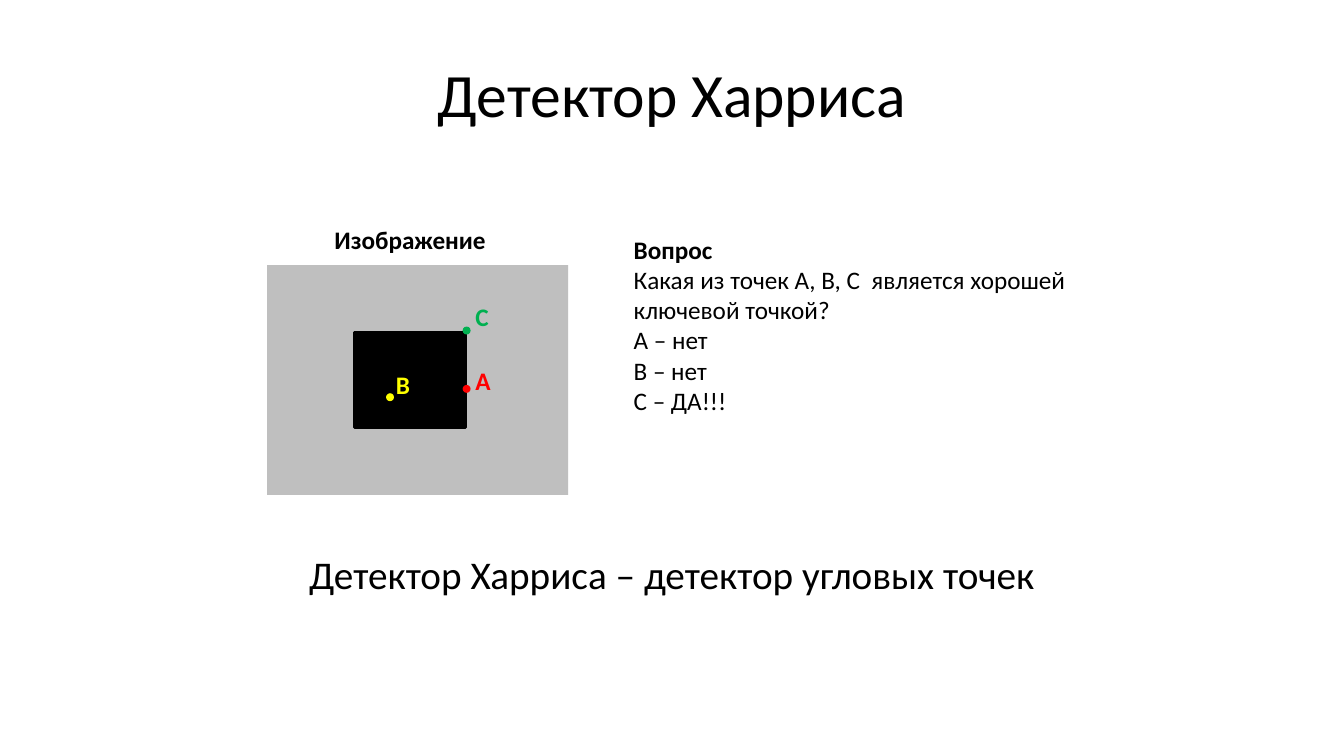
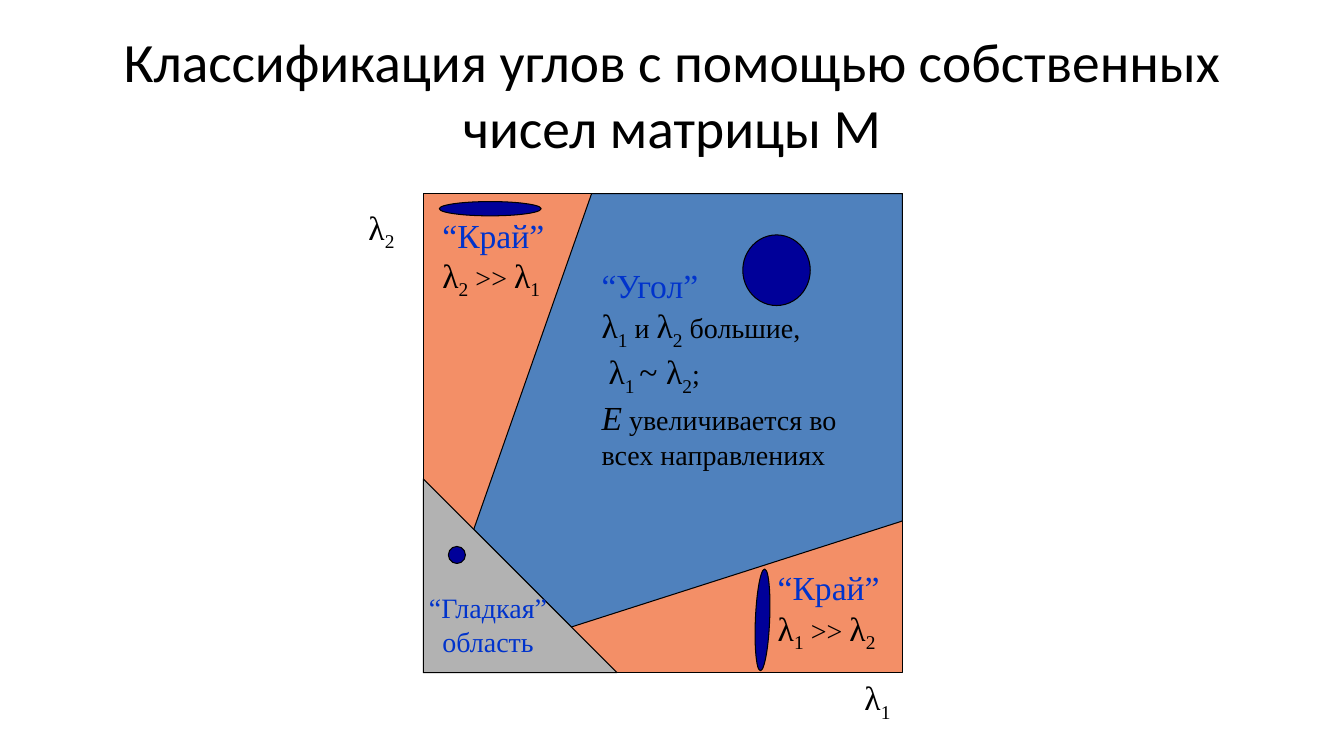
from dataclasses import dataclass
from typing import NamedTuple, Optional, Sequence

from pptx import Presentation
from pptx.dml.color import RGBColor
from pptx.enum.shapes import MSO_SHAPE as Preset
from pptx.enum.text import MSO_ANCHOR as Anchor, MSO_AUTO_SIZE as AutoSize, PP_ALIGN as Align
from pptx.shapes.autoshape import Shape
from pptx.slide import Slide
from pptx.util import Cm, Pt


@dataclass(frozen=True)
class Theme:
    sans: str = "Calibri"
    serif: str = "Times New Roman"
    ink: str = "000000"
    backdrop: str = "BFBFBF"
    red: str = "FF0000"
    yellow: str = "FFFF00"
    green: str = "00B050"
    edge: str = "F38F67"
    corner: str = "4F81BD"
    flat: str = "B2B2B2"
    ellipse: str = "000099"
    region_name: str = "0033CC"
    title: float = 44
    long_title: float = 39.6
    conclusion: float = 28
    body: float = 18
    symbol: float = 24
    remark: float = 20
    outline: float = 0.75


THEME = Theme()


class Box(NamedTuple):
    """Left, top, width and height in centimetres."""
    x: float
    y: float
    w: float
    h: float


@dataclass(frozen=True)
class Piece:
    """A stretch of text; unset fields follow the text box."""
    text: str
    size: Optional[float] = None
    color: Optional[str] = None
    bold: Optional[bool] = None
    italic: Optional[bool] = None
    sub: bool = False


@dataclass(frozen=True)
class KeyPoint:
    label: str
    color: str
    center: tuple[float, float]
    label_at: tuple[float, float]


@dataclass(frozen=True)
class Region:
    box: Box
    lines: list[list[Piece]]
    align: Align = Align.LEFT


@dataclass(frozen=True)
class Ellipse:
    box: Box
    rotation: float = 0


Lines = Sequence[Sequence[Piece]]


# Shared drawing functions
def add_text(slide: Slide, box: Box, lines: Lines, *, size: float,
             font: str = THEME.sans, color: str = THEME.ink, bold: bool = False,
             align: Align = Align.LEFT, anchor: Anchor = Anchor.TOP,
             wrap: bool = True, grow: bool = True) -> None:
    frame = slide.shapes.add_textbox(*map(Cm, box)).text_frame
    frame.word_wrap = wrap
    frame.auto_size = AutoSize.SHAPE_TO_FIT_TEXT if grow else AutoSize.NONE
    frame.vertical_anchor = anchor
    for index, pieces in enumerate(lines):
        paragraph = frame.add_paragraph() if index else frame.paragraphs[0]
        paragraph.alignment = align
        for piece in pieces:
            run = paragraph.add_run()
            run.text = piece.text
            run.font.name = font
            run.font.size = Pt(piece.size or size)
            run.font.bold = bold if piece.bold is None else piece.bold
            run.font.italic = piece.italic
            run.font.color.rgb = RGBColor.from_string(piece.color or color)
            if piece.sub:
                run._r.get_or_add_rPr().set("baseline", "-25000")


def paint(shape: Shape, fill: str, line_width: float = 0) -> None:
    shape.shadow.inherit = False
    shape.fill.solid()
    shape.fill.fore_color.rgb = RGBColor.from_string(fill)
    if line_width:
        shape.line.color.rgb = RGBColor.from_string(THEME.ink)
        shape.line.width = Pt(line_width)
    else:
        shape.line.fill.background()


def add_preset(slide: Slide, preset: Preset, box: Box, fill: str,
               line_width: float = 0, rotation: float = 0) -> None:
    shape = slide.shapes.add_shape(preset, *map(Cm, box))
    shape.rotation = rotation
    paint(shape, fill, line_width)


def add_title(slide: Slide, title: str, size: float) -> None:
    add_text(slide, Box(1.7, 0.76, 30.48, 3.18), [[Piece(title)]], size=size,
             align=Align.CENTER, anchor=Anchor.MIDDLE, grow=False)


# Harris detector
DOT = 0.2
KEY_POINTS = [
    KeyPoint("A", THEME.red, (11.76, 9.8), (11.73, 9.07)),
    KeyPoint("B", THEME.yellow, (9.83, 10.01), (9.73, 9.17)),
    KeyPoint("C", THEME.green, (11.76, 8.33), (11.73, 7.47)),
]
QUESTION = [
    "Какая из точек A, B, C  является хорошей ключевой точкой?",
    "A – нет",
    "B – нет",
    "C – ДА!!!",
]


def build_detector(slide: Slide) -> None:
    add_title(slide, "Детектор Харриса", THEME.title)

    # Sample image with its key points
    add_preset(slide, Preset.RECTANGLE, Box(6.73, 6.68, 7.59, 5.79), THEME.backdrop)
    add_preset(slide, Preset.RECTANGLE, Box(8.94, 8.38, 2.79, 2.39), THEME.ink, 2)
    add_text(slide, Box(8.18, 5.54, 4.37, 1.02), [[Piece("Изображение")]],
             size=THEME.body, bold=True, wrap=False)
    for point in KEY_POINTS:
        x, y = point.center
        add_preset(slide, Preset.FLOWCHART_CONNECTOR,
                   Box(x - DOT / 2, y - DOT / 2, DOT, DOT), point.color)
        add_text(slide, Box(*point.label_at, 0.89, 1.02), [[Piece(point.label)]],
                 size=THEME.body, color=point.color, bold=True, wrap=False)

    # Question and conclusion
    add_text(slide, Box(15.72, 5.77, 12.8, 4.88),
             [[Piece("Вопрос", bold=True)], *([Piece(line)] for line in QUESTION)],
             size=THEME.body)
    add_text(slide, Box(7.54, 13.74, 19, 1.45),
             [[Piece("Детектор Харриса – детектор угловых точек")]],
             size=THEME.conclusion, wrap=False)


# Classification by eigenvalues
def eigenvalue(number: int) -> list[Piece]:
    return [Piece("λ"), Piece(str(number), sub=True)]


def remark(text: str) -> Piece:
    return Piece(text, size=THEME.remark)


def region_name(text: str, size: float = THEME.symbol) -> list[Piece]:
    return [Piece(text, size=size, color=THEME.region_name)]


def edge_region(x: float, y: float, larger: int, smaller: int) -> Region:
    return Region(Box(x, y, 3.61, 2.31), [
        region_name("“Край”"),
        [*eigenvalue(larger), remark(" >> "), *eigenvalue(smaller)],
    ])


PLANE = Box(10.67, 4.88, 12.07, 12.07)
PLANE_RIGHT = PLANE.x + PLANE.w
FLAT_SIDE = 4.88
CORNER_OUTLINE = [(11.94, 13.34), (14.91, PLANE.y), (PLANE_RIGHT, PLANE.y),
                  (PLANE_RIGHT, 13.13), (14.4, 15.8)]
REGIONS = [
    Region(Box(21.06, 16.94, 2.11, 1.27), [eigenvalue(1)], Align.CENTER),
    Region(Box(8.13, 5.08, 2.97, 1.27), [eigenvalue(2)], Align.CENTER),
    Region(Box(14.91, 6.55, 7.42, 5.21), [
        region_name("“Угол”"),
        [*eigenvalue(1), remark(" и "), *eigenvalue(2), remark(" большие,")],
        [remark(" "), *eigenvalue(1), Piece(" ", sub=True), Piece("~ "),
         *eigenvalue(2), remark(";")],
        [Piece("E", italic=True), remark(" увеличивается во всех направлениях")],
    ]),
    edge_region(19.35, 14.17, 1, 2),
    edge_region(10.9, 5.28, 2, 1),
    Region(Box(10.46, 14.76, 3.68, 1.96),
           [region_name("“Гладкая” область", THEME.remark)], Align.CENTER),
]
ELLIPSES = [
    Ellipse(Box(18.72, 5.92, 1.7, 1.78)),
    Ellipse(Box(11.07, 5.08, 2.57, 0.36)),
    Ellipse(Box(11.3, 13.77, 0.43, 0.43)),
    Ellipse(Box(17.93, 15.44, 2.57, 0.36), 92.4),
]


def build_classification(slide: Slide) -> None:
    add_title(slide, "Классификация углов с помощью собственных чисел матрицы M",
              THEME.long_title)

    # Areas of the eigenvalue plane
    add_preset(slide, Preset.RECTANGLE, PLANE, THEME.edge, THEME.outline)
    start, *rest = [(Cm(x), Cm(y)) for x, y in CORNER_OUTLINE]
    outline = slide.shapes.build_freeform(*start)
    outline.add_line_segments(rest, close=True)
    paint(outline.convert_to_shape(), THEME.corner, THEME.outline)
    flat_top = PLANE.y + PLANE.h - FLAT_SIDE
    add_preset(slide, Preset.RIGHT_TRIANGLE,
               Box(PLANE.x, flat_top, FLAT_SIDE, FLAT_SIDE), THEME.flat, THEME.outline)

    # Axis names, region names and ellipses
    for region in REGIONS:
        add_text(slide, region.box, region.lines, size=THEME.symbol,
                 font=THEME.serif, align=region.align)
    for ellipse in ELLIPSES:
        add_preset(slide, Preset.OVAL, ellipse.box, THEME.ellipse,
                   THEME.outline, ellipse.rotation)


def main() -> None:
    deck = Presentation()
    deck.slide_width, deck.slide_height = Cm(33.87), Cm(19.05)
    blank = deck.slide_layouts[6]
    for build in (build_detector, build_classification):
        build(deck.slides.add_slide(blank))
    deck.save("out.pptx")


if __name__ == "__main__":
    main()
